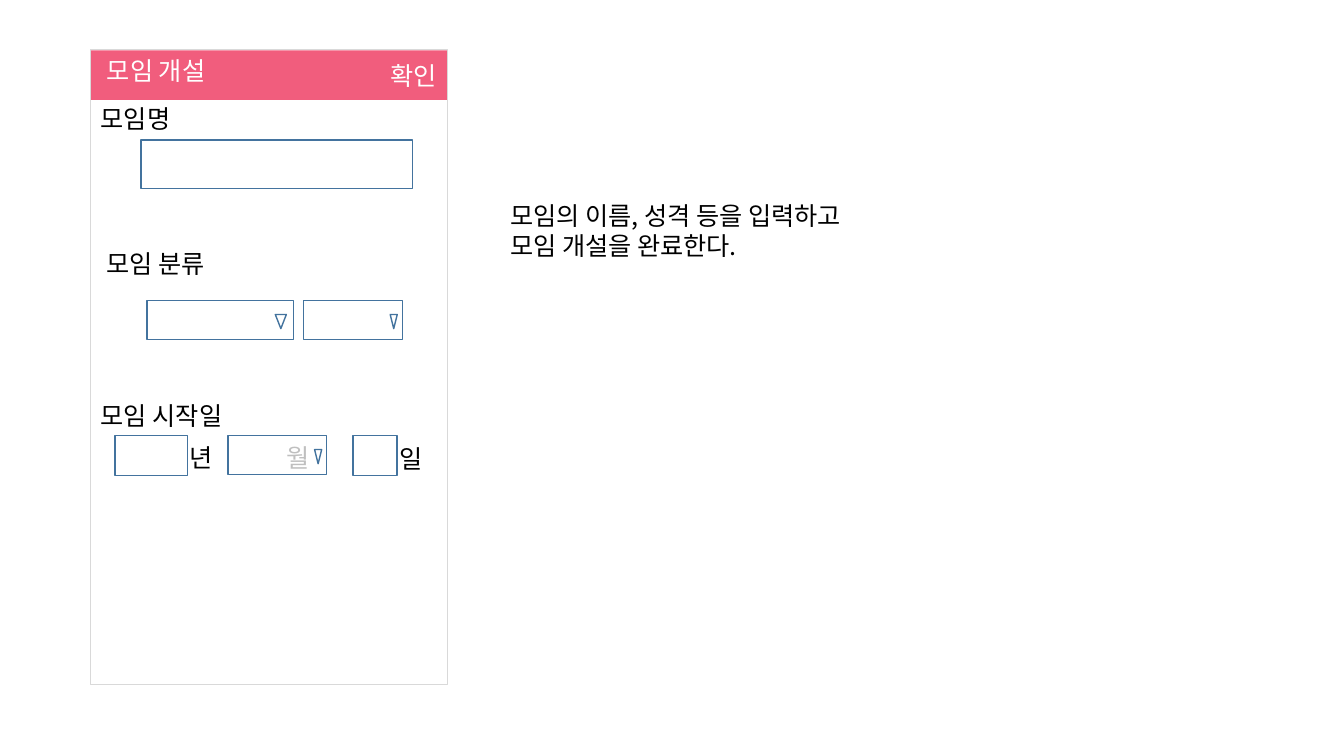
from dataclasses import dataclass

from lxml import etree
from pptx import Presentation
from pptx.dml.color import RGBColor
from pptx.enum.shapes import MSO_SHAPE
from pptx.enum.text import MSO_ANCHOR, PP_ALIGN
from pptx.oxml.ns import qn
from pptx.util import Emu, Pt

RECT = MSO_SHAPE.RECTANGLE
TRIANGLE = MSO_SHAPE.ISOSCELES_TRIANGLE
LEFT = PP_ALIGN.LEFT
TOP = MSO_ANCHOR.TOP

PX = 9144
FONT = "Noto Sans CJK KR"
TEXT_H = 40
COLORS = {
    "header": "F15D7D",
    "frame": "D9D9D9",
    "field": "43739E",
    "text": "000000",
    "hint": "BFBFBF",
    "white": "FFFFFF",
}


@dataclass
class Box:
    x: int
    y: int
    w: int
    h: int


@dataclass
class Label:
    box: Box
    lines: list[str]
    color: str = "text"


@dataclass
class Dropdown:
    box: Box
    arrow_w: int
    arrow_gap: int


HEADER = Box(90, 50, 354, 49)
PHONE = Box(90, 49, 354, 630)
TITLE = Label(Box(96, 50, 179, TEXT_H), ["모임 개설"], "white")
FIELDS = [
    Box(140, 139, 269, 48),
    Box(114, 432, 72, 40),
    Box(350, 432, 44, 40),
]
DROPDOWNS = [
    Dropdown(Box(301, 298, 98, 39), 7, 5),
    Dropdown(Box(146, 298, 145, 39), 11, 7),
    Dropdown(Box(226, 432, 98, 39), 7, 5),
]
LABELS = [
    Label(Box(496, 194, 782, 71), ["모임의 이름, 성격 등을 입력하고", "모임 개설을 완료한다."]),
    Label(Box(90, 98, 185, TEXT_H), ["모임명"]),
    Label(Box(96, 241, 200, TEXT_H), ["모임 분류"]),
    Label(Box(90, 392, 161, TEXT_H), ["모임 시작일"]),
    Label(Box(178, 434, 32, TEXT_H), ["년"]),
    Label(Box(386, 435, 22, TEXT_H), ["일"]),
    Label(Box(274, 434, 21, TEXT_H), ["월"], "hint"),
    Label(Box(377, 55, 74, TEXT_H), ["확인"], "white"),
]


def rgb(name: str) -> RGBColor:
    return RGBColor.from_string(COLORS[name])


def emu(box: Box) -> list[Emu]:
    return [Emu(v * PX) for v in (box.x, box.y, box.w, box.h)]


def add_outline(s, box: Box, color: str, kind=RECT):
    sp = s.shapes.add_shape(kind, *emu(box))
    sp.shadow.inherit = False
    sp.fill.background()
    sp.line.color.rgb = rgb(color)
    sp.line.width = Pt(1)
    return sp


def add_dropdown(s, item: Dropdown) -> None:
    box = item.box
    add_outline(s, box, "field")
    x = box.x + box.w - item.arrow_gap - item.arrow_w
    arrow = add_outline(s, Box(x, box.y + 14, item.arrow_w, 14), "field", TRIANGLE)
    arrow.rotation = 180


def write_text(sp, label: Label) -> None:
    sp.left, sp.top, sp.width, sp.height = emu(label.box)
    tf = sp.text_frame
    tf.word_wrap = True
    tf.vertical_anchor = TOP
    for i, line in enumerate(label.lines):
        p = tf.paragraphs[0] if i == 0 else tf.add_paragraph()
        p.alignment = LEFT
        p.line_spacing = Pt(21.6)
        p.space_before = Pt(0)
        r = p.add_run()
        r.text = line
        r.font.size = Pt(18)
        r.font.name = FONT
        r.font.color.rgb = rgb(label.color)
        etree.SubElement(r.font._element, qn("a:ea"), typeface=FONT)


def main() -> None:
    prs = Presentation()
    prs.slide_width, prs.slide_height = Emu(1333 * PX), Emu(750 * PX)
    s = prs.slides.add_slide(prs.slide_layouts[5])

    header = s.shapes.add_shape(RECT, *emu(HEADER))
    header.shadow.inherit = False
    header.fill.solid()
    header.fill.fore_color.rgb = rgb("header")
    header.line.fill.background()
    frame = add_outline(s, PHONE, "frame")

    title = s.shapes.title
    write_text(title, TITLE)
    frame.element.addnext(title.element)

    for field in FIELDS:
        add_outline(s, field, "field")
    for dropdown in DROPDOWNS:
        add_dropdown(s, dropdown)
    for label in LABELS:
        write_text(s.shapes.add_textbox(*emu(label.box)), label)

    prs.save("out.pptx")


if __name__ == "__main__":
    main()
